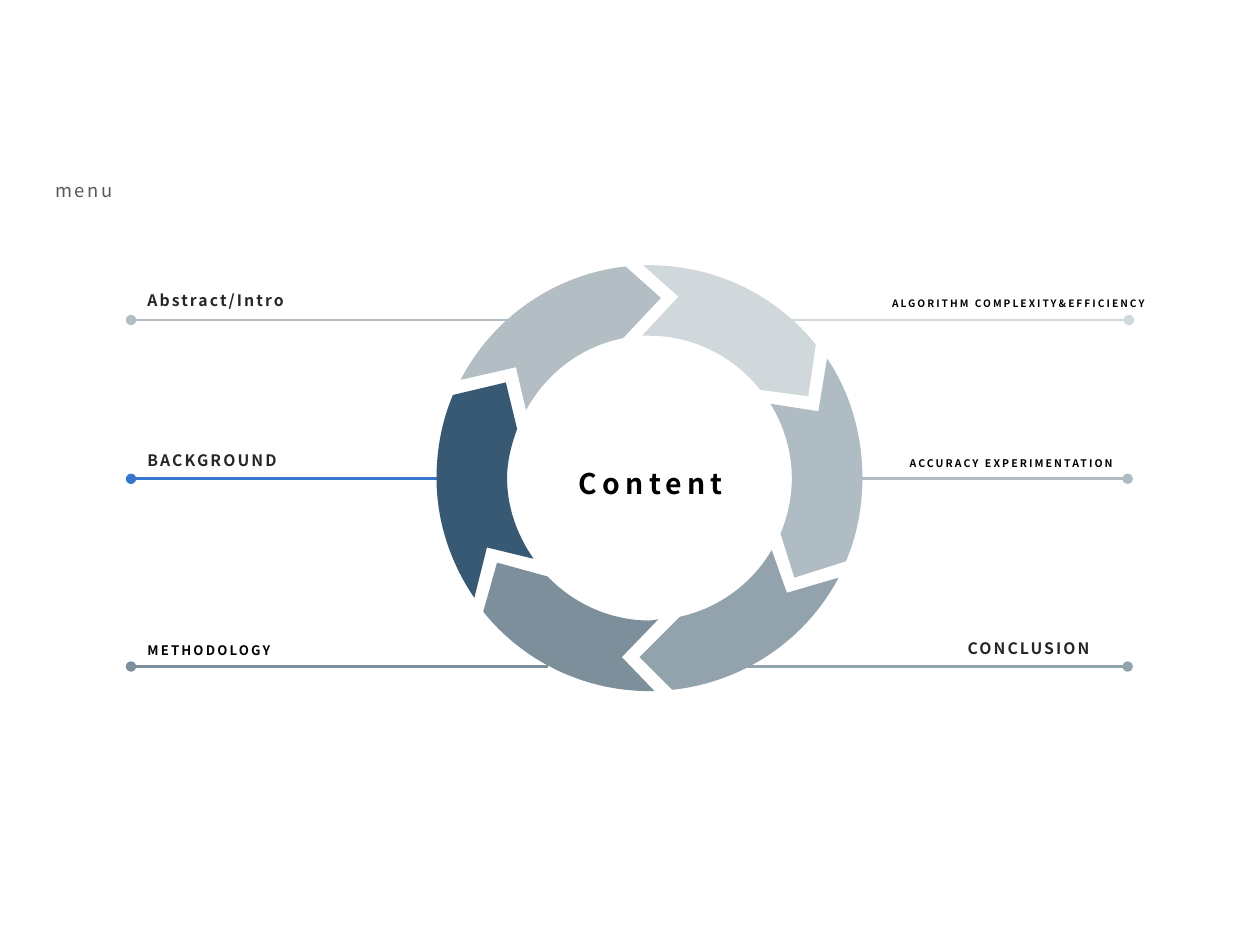
import math
from dataclasses import dataclass

from lxml import etree
from pptx import Presentation
from pptx.dml.color import RGBColor
from pptx.enum.shapes import MSO_CONNECTOR
from pptx.enum.text import MSO_ANCHOR, MSO_AUTO_SIZE, PP_ALIGN
from pptx.oxml.ns import qn
from pptx.util import Inches, Pt

STRAIGHT = MSO_CONNECTOR.STRAIGHT
TOP, MIDDLE, BOTTOM = MSO_ANCHOR.TOP, MSO_ANCHOR.MIDDLE, MSO_ANCHOR.BOTTOM
LEFT, CENTER = PP_ALIGN.LEFT, PP_ALIGN.CENTER
NO_AUTOFIT = MSO_AUTO_SIZE.NONE


@dataclass(frozen=True)
class Theme:
    font: str = "Noto Sans CJK SC"
    black: str = "000000"
    dark: str = "262626"
    gray: str = "595959"
    silver: str = "B2BEC4"
    mist: str = "D1D8DC"
    fog: str = "B0BCC3"
    steel: str = "93A3AD"
    slate: str = "7C8F9B"
    navy: str = "385974"
    blue: str = "3676CC"
    title_size: float = 10.5
    center_size: float = 16.2
    label_size: float = 9
    medium_size: float = 7.5
    small_size: float = 6
    tiny_size: float = 5.8
    line_width: float = 1.5


THEME = Theme()
RING_BOX = (3.46, 2.1, 3.39, 3.39)
OUTER_RADIUS = 1.69
INNER_RADIUS = 1.13
QUARTER = math.pi / 2

# Colour, then offsets from the ring's centre:
# outer start, outer end, tip, inner end, inner start, notch
SEGMENTS = [
    (THEME.silver, (-1.5, -0.78), (-0.19, -1.68), (0.09, -1.43),
     (-0.21, -1.11), (-0.98, -0.54), (-1.06, -0.88)),
    (THEME.steel, (1.5, 0.79), (0.18, 1.68), (-0.08, 1.42),
     (0.24, 1.1), (0.97, 0.57), (1.09, 0.91)),
    (THEME.fog, (1.41, -0.95), (1.56, 0.66), (1.15, 0.79),
     (1.04, 0.44), (0.96, -0.59), (1.34, -0.53)),
    (THEME.mist, (-0.05, -1.69), (1.32, -1.06), (1.26, -0.65),
     (0.88, -0.7), (-0.06, -1.13), (0.23, -1.44)),
    (THEME.slate, (0.04, 1.69), (-1.32, 1.06), (-1.21, 0.67),
     (-0.81, 0.78), (0.07, 1.12), (-0.22, 1.42)),
    (THEME.navy, (-1.39, 0.95), (-1.56, -0.66), (-1.14, -0.76),
     (-1.05, -0.39), (-0.92, 0.64), (-1.29, 0.55)),
]

# Text, size, text colour, line colour, dot x, ring x, line y, label left, top, width
ENTRIES = [
    ("Abstract/Intro", THEME.label_size, THEME.dark, THEME.silver,
     1.04, 4.14, 2.54, 1.1, 2.18, 1.29),
    ("BACKGROUND", THEME.label_size, THEME.dark, THEME.blue,
     1.04, 3.66, 3.8, 1.1, 3.45, 1.29),
    ("METHODOLOGY", THEME.medium_size, THEME.black, THEME.slate,
     1.04, 4.35, 5.29, 1.1, 4.94, 1.29),
    ("ALGORITHM COMPLEXITY&EFFICIENCY", THEME.tiny_size, THEME.black, THEME.mist,
     8.96, 6.03, 2.54, 7.01, 2.18, 2.42),
    ("ACCURACY EXPERIMENTATION", THEME.small_size, THEME.black, THEME.fog,
     8.95, 6.38, 3.8, 7.15, 3.45, 2.28),
    ("CONCLUSION", THEME.label_size, THEME.dark, THEME.steel,
     8.95, 5.64, 5.29, 7.61, 4.94, 1.29),
]


def write_text(shape, text, size, color, spacing, bold=True, anchor=BOTTOM, align=LEFT):
    frame = shape.text_frame
    frame.word_wrap = True
    frame.auto_size = NO_AUTOFIT
    frame.vertical_anchor = anchor
    frame.margin_left = frame.margin_right = Inches(0.07)
    frame.margin_top = frame.margin_bottom = Inches(0.04)
    paragraph = frame.paragraphs[0]
    paragraph.alignment = align
    run = paragraph.add_run()
    run.text = text
    run.font.name = THEME.font
    run.font.size = Pt(size)
    run.font.bold = bold
    run.font.color.rgb = RGBColor.from_string(color)
    run.font._element.set("spc", str(round(spacing * 100)))


def add_title(slide, box):
    title = slide.shapes.title
    title.left, title.top, title.width, title.height = map(Inches, box)
    write_text(title, "menu", THEME.title_size, THEME.gray, 1.5, bold=False, anchor=TOP)


def add_leader(slide, color, dot_x, ring_x, y):
    """Draw a line that starts with a dot and runs to the ring."""
    leader = slide.shapes.add_connector(
        STRAIGHT, Inches(dot_x), Inches(y), Inches(ring_x), Inches(y))
    leader.line.color.rgb = RGBColor.from_string(color)
    leader.line.width = Pt(THEME.line_width)
    etree.SubElement(leader.line._get_or_add_ln(), qn("a:headEnd"), type="oval")
    etree.SubElement(leader._element.spPr, qn("a:effectLst"))


def add_label(slide, box, text, size, color):
    label = slide.shapes.add_textbox(*map(Inches, box))
    write_text(label, text, size, color, 1.2)


def arc_pieces(start, end, radius):
    """Split an arc where it crosses an axis; return (control, control, end) pieces."""
    first = math.atan2(start[1], start[0])
    sweep = (math.atan2(end[1], end[0]) - first + math.pi) % math.tau - math.pi
    low, high = sorted((first, first + sweep))
    crossings = [QUARTER * n for n in range(math.ceil(low / QUARTER), math.ceil(high / QUARTER))]
    if sweep < 0:
        crossings.reverse()
    stops = [(radius * math.cos(angle), radius * math.sin(angle)) for angle in crossings]
    knots = [start, *stops, end]
    angles = [first, *crossings, first + sweep]
    pieces = []
    for index, ((x0, y0), (x1, y1)) in enumerate(zip(knots, knots[1:])):
        pull = 4 / 3 * math.tan((angles[index + 1] - angles[index]) / 4)
        pieces.append(((x0 - pull * y0, y0 + pull * x0), (x1 + pull * y1, y1 - pull * x1), (x1, y1)))
    return pieces


def bend_sides(shape, pieces, center):
    """Turn each straight side that has control points into a curve."""
    sides = list(shape._element.iter(qn("a:lnTo")))
    for side, piece in zip(sides, pieces):
        if len(piece) == 1:
            continue
        side.tag = qn("a:cubicBezTo")
        for index, (x, y) in enumerate(piece[:-1]):
            point = etree.Element(
                qn("a:pt"),
                x=str(Inches(center[0] + x) - shape.left),
                y=str(Inches(center[1] + y) - shape.top))
            side.insert(index, point)


def add_ring(slide, box):
    left, top, width, height = box
    center = (left + width / 2, top + height / 2)
    for color, outer_start, outer_end, tip, inner_end, inner_start, notch in SEGMENTS:
        pieces = [
            *arc_pieces(outer_start, outer_end, OUTER_RADIUS),
            (tip,),
            (inner_end,),
            *arc_pieces(inner_end, inner_start, INNER_RADIUS),
            (notch,),
        ]
        corners = [outer_start, *(piece[-1] for piece in pieces)]
        points = [(Inches(center[0] + x), Inches(center[1] + y)) for x, y in corners]
        builder = slide.shapes.build_freeform(*points[0])
        builder.add_line_segments(points[1:], close=True)
        segment = builder.convert_to_shape()
        bend_sides(segment, pieces, center)
        segment.shadow.inherit = False
        segment.fill.solid()
        segment.fill.fore_color.rgb = RGBColor.from_string(color)
        segment.line.fill.background()


def add_center_text(slide, box):
    center = slide.shapes.add_textbox(*map(Inches, box))
    write_text(center, "Content", THEME.center_size, THEME.black, 3,
               anchor=MIDDLE, align=CENTER)


def add_menu_slide(presentation):
    slide = presentation.slides.add_slide(presentation.slide_layouts[5])
    add_title(slide, (0.37, 1.38, 4.2, 0.35))
    for _, _, _, line_color, dot_x, ring_x, y, *_ in ENTRIES:
        add_leader(slide, line_color, dot_x, ring_x, y)
    add_ring(slide, RING_BOX)
    for text, size, color, _, _, _, _, left, top, width in ENTRIES:
        add_label(slide, (left, top, width, 0.32), text, size, color)
    add_center_text(slide, (4.47, 3.64, 1.39, 0.39))


def main():
    presentation = Presentation()
    presentation.slide_width = Inches(10)
    presentation.slide_height = Inches(7.5)
    add_menu_slide(presentation)
    presentation.save("out.pptx")


if __name__ == "__main__":
    main()
